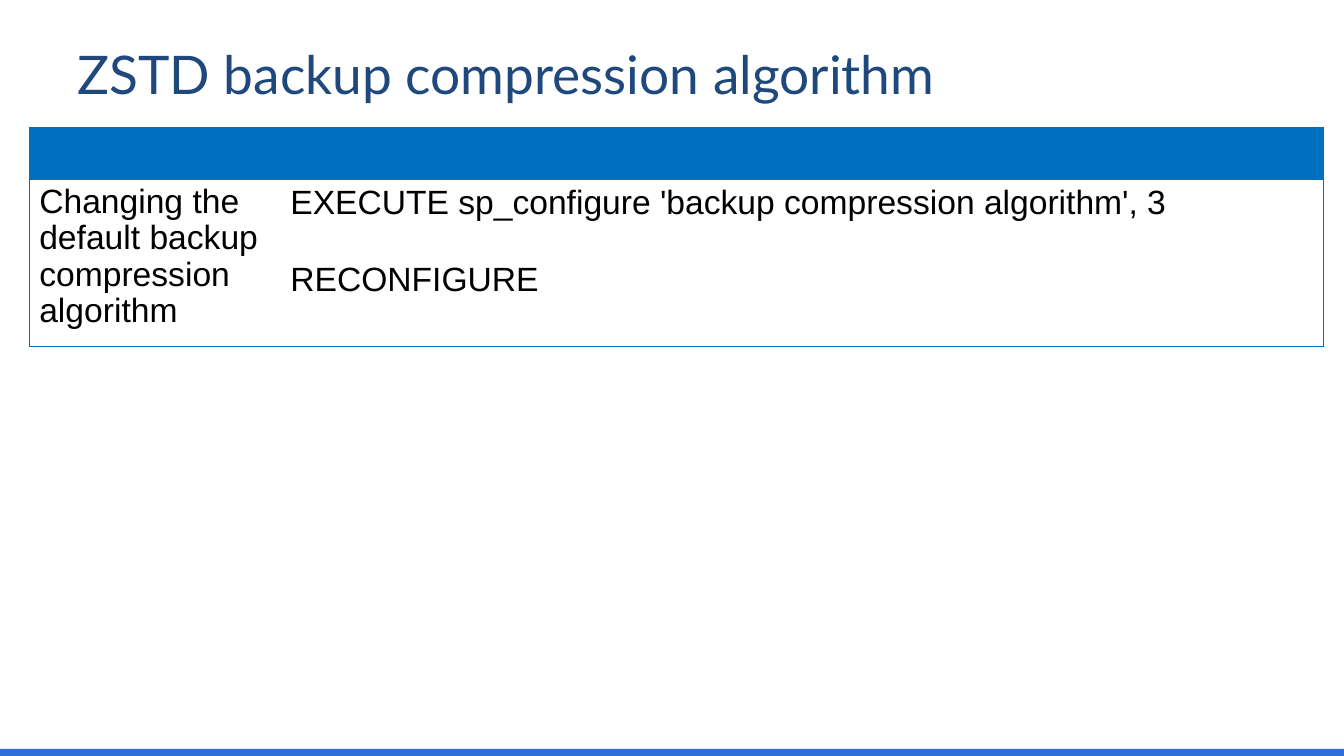
from lxml.etree import SubElement as Sub
from pptx import Presentation
from pptx.dml.color import RGBColor as Rgb
from pptx.enum.shapes import MSO_SHAPE as Shape
from pptx.enum.text import MSO_ANCHOR as Anchor
from pptx.oxml.ns import qn
from pptx.util import Inches, Pt

TITLE = "ZSTD backup compression algorithm"
ROWS = [
    [[], []],
    [["Changing the default backup compression algorithm"],
     ["EXECUTE sp_configure 'backup compression algorithm', 3", "RECONFIGURE"]],
]
COLS = [2.49, 10.35]
HEIGHTS = [0.52, 1.58]
SPACING = [0.97, 1.0]
THEME = {
    "title": ("Lato", 38, "1F497D"),
    "body": ("Arial", 24, "000000"),
    "head": "0070C0",
    "row": "FFFFFF",
    "edge": "006EBC",
    "bar": "2F6ED7",
}


def style(para, role):
    name, size, color = THEME[role]
    font = para.font
    font.name, font.size, font.bold = name, Pt(size), False
    font.color.rgb = Rgb.from_string(color)


def border(cell, sides):
    """Draw the named sides and blank out the others."""
    props = cell._tc.get_or_add_tcPr()
    for side in "LRTB":
        line = Sub(props, qn(f"a:ln{side}"), w=str(Pt(0.75)))
        if side in sides:
            fill = Sub(line, qn("a:solidFill"))
            Sub(fill, qn("a:srgbClr"), val=THEME["edge"])
        else:
            Sub(line, qn("a:noFill"))


def add_bar(slide):
    bar = slide.shapes.add_shape(
        Shape.RECTANGLE, 0, Inches(7.43), Inches(13.33), Inches(0.07))
    bar.shadow.inherit = False
    bar.fill.solid()
    bar.fill.fore_color.rgb = Rgb.from_string(THEME["bar"])
    bar.line.fill.background()


def add_title(slide):
    box = slide.shapes.add_textbox(
        Inches(0.67), Inches(0.1), Inches(12.04), Inches(1.25))
    frame = box.text_frame
    frame.word_wrap = True
    frame.vertical_anchor = Anchor.MIDDLE
    frame.text = TITLE
    style(frame.paragraphs[0], "title")


def fill_cell(cell, lines, spacing):
    frame = cell.text_frame
    for i, text in enumerate(lines):
        para = frame.add_paragraph() if i else frame.paragraphs[0]
        para.text = text
        para.line_spacing = spacing
        if i:
            para.space_before = Pt(28)
        style(para, "body")


def add_grid(slide):
    grid = slide.shapes.add_table(
        len(ROWS), len(COLS), Inches(0.29), Inches(1.26),
        Inches(sum(COLS)), Inches(sum(HEIGHTS))).table
    grid.first_row = grid.horz_banding = False
    for col, width in zip(grid.columns, COLS):
        col.width = Inches(width)
    for r, row in enumerate(ROWS):
        grid.rows[r].height = Inches(HEIGHTS[r])
        for c, lines in enumerate(row):
            cell = grid.cell(r, c)
            border(cell, "TB" + "LR"[c])
            cell.fill.solid()
            tone = THEME["row" if r else "head"]
            cell.fill.fore_color.rgb = Rgb.from_string(tone)
            fill_cell(cell, lines, SPACING[c])


def main():
    deck = Presentation()
    deck.slide_width, deck.slide_height = Inches(13.33), Inches(7.5)
    slide = deck.slides.add_slide(deck.slide_layouts[6])
    add_bar(slide)
    add_title(slide)
    add_grid(slide)
    deck.save("out.pptx")


if __name__ == "__main__":
    main()
